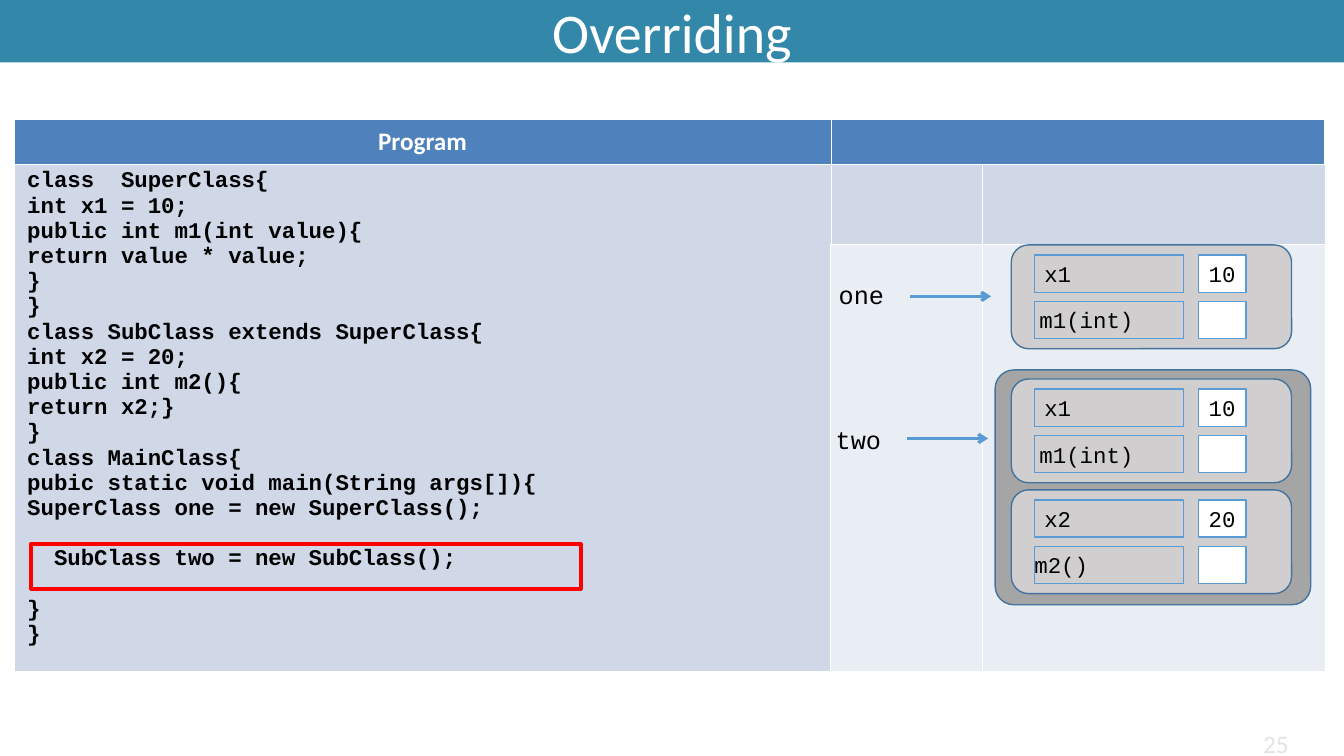
"""Build the slide that explains overriding with a program and its object diagram."""
from dataclasses import dataclass
from typing import Optional

from lxml.etree import SubElement
from pptx import Presentation
from pptx.dml.color import RGBColor
from pptx.enum.shapes import MSO_CONNECTOR, MSO_SHAPE
from pptx.enum.text import MSO_ANCHOR, PP_ALIGN
from pptx.oxml import parse_xml
from pptx.oxml.ns import nsdecls, qn
from pptx.shapes.autoshape import Shape
from pptx.slide import Slide
from pptx.table import _Cell
from pptx.text.text import TextFrame
from pptx.util import Inches, Pt

WHITE = RGBColor(0xFF, 0xFF, 0xFF)
BLACK = RGBColor(0x00, 0x00, 0x00)
RED = RGBColor(0xFF, 0x00, 0x00)
TEAL = RGBColor(0x33, 0x88, 0xA9)
HEADER_BLUE = RGBColor(0x4F, 0x81, 0xBD)
BAND_DARK = RGBColor(0xD0, 0xD8, 0xE8)
BAND_LIGHT = RGBColor(0xE9, 0xED, 0xF4)
OUTER_GRAY = RGBColor(0xA5, 0xA5, 0xA5)
OBJECT_GRAY = RGBColor(0xD0, 0xCE, 0xCE)
OBJECT_LINE = RGBColor(0x43, 0x73, 0x9E)
FIELD_LINE = RGBColor(0x5B, 0x9B, 0xD5)
NUMBER_GRAY = RGBColor(0xE3, 0xE3, 0xE3)
SANS = "Calibri"
MONO = "Courier New"

CODE = """class  SuperClass{
int x1 = 10;
public int m1(int value){
return value * value;
}
}
class SubClass extends SuperClass{
int x2 = 20;
public int m2(){
return x2;}
}
class MainClass{
pubic static void main(String args[]){
SuperClass one = new SuperClass();
  SubClass two = new SubClass();
}
}"""
SPACED_LINES = (14, 15)


@dataclass(frozen=True)
class CellStyle:
    row: int
    column: int
    fill: RGBColor
    borders: dict[str, float]


@dataclass(frozen=True)
class ObjectBox:
    top: float
    field: str
    value: str
    method: str
    method_inset: float


@dataclass(frozen=True)
class Reference:
    name: str
    left: float
    top: float
    arrow_left: float
    arrow_top: float


CELL_STYLES = (
    CellStyle(0, 0, HEADER_BLUE, {"L": 0.23, "R": 0.23, "T": 0.23, "B": 0.75}),
    CellStyle(0, 1, HEADER_BLUE, {"L": 0.23, "T": 0.23, "B": 0.75}),
    CellStyle(1, 0, BAND_DARK, {"L": 0.23, "R": 0.23, "T": 0.75}),
    CellStyle(1, 1, BAND_DARK, {"L": 0.23, "R": 0.23, "T": 0.75, "B": 0.23}),
    CellStyle(1, 2, BAND_DARK, {"L": 0.23, "R": 0.23, "B": 0.23}),
    CellStyle(2, 1, BAND_LIGHT, {"R": 0.23, "T": 0.23, "B": 0.23}),
    CellStyle(2, 2, BAND_LIGHT, {"L": 0.23, "R": 0.23, "T": 0.23, "B": 0.23}),
)
OBJECT_BOXES = (
    ObjectBox(2.43, "x1", "10", "m1(int)", 0.05),
    ObjectBox(3.76, "x1", "10", "m1(int)", 0.05),
    ObjectBox(4.86, "x2", "20", "m2()", 0),
)
REFERENCES = (
    Reference("one", 8.22, 2.72, 9.03, 2.94),
    Reference("two", 8.19, 4.16, 9, 4.35),
)


def write_text(frame: TextFrame, text: str, size: float, font: str, color: RGBColor, bold: bool = False) -> None:
    """Fill a text frame and format each of its runs."""
    frame.text = text
    for paragraph in frame.paragraphs:
        for run in paragraph.runs:
            run.font.size = Pt(size)
            run.font.name = font
            run.font.bold = bold
            run.font.color.rgb = color


def add_box(slide: Slide, kind: MSO_SHAPE, left: float, top: float, width: float, height: float,
            fill: Optional[RGBColor], line: Optional[RGBColor], line_width: float = 1) -> Shape:
    """Add a flat preset shape."""
    shape = slide.shapes.add_shape(kind, Inches(left), Inches(top), Inches(width), Inches(height))
    shape.shadow.inherit = False
    if fill is None:
        shape.fill.background()
    else:
        shape.fill.solid()
        shape.fill.fore_color.rgb = fill
    if line is None:
        shape.line.fill.background()
    else:
        shape.line.color.rgb = line
        shape.line.width = Pt(line_width)
    return shape


def add_field(slide: Slide, left: float, top: float, width: float, fill: Optional[RGBColor],
              text: str = "", inset: float = 0.1, anchor: MSO_ANCHOR = MSO_ANCHOR.TOP) -> None:
    """Add one small rectangle of an object, with its text."""
    shape = add_box(slide, MSO_SHAPE.RECTANGLE, left, top, width, 0.37, fill, FIELD_LINE)
    if text:
        frame = shape.text_frame
        frame.word_wrap = False
        frame.vertical_anchor = anchor
        frame.margin_left = Inches(inset)
        write_text(frame, text, 16, MONO, BLACK)
        frame.paragraphs[0].alignment = PP_ALIGN.LEFT


def add_object(slide: Slide, box: ObjectBox) -> None:
    """Add a rounded object with a field row and a method row."""
    add_box(slide, MSO_SHAPE.ROUNDED_RECTANGLE, 10.03, box.top, 2.78, 1.03, OBJECT_GRAY, OBJECT_LINE)
    field_top, method_top = box.top + 0.1, box.top + 0.56
    add_field(slide, 10.26, field_top, 1.48, None, box.field)
    add_field(slide, 11.89, field_top, 0.47, WHITE, box.value)
    add_field(slide, 10.26, method_top, 1.48, None, box.method, box.method_inset, MSO_ANCHOR.MIDDLE)
    add_field(slide, 11.89, method_top, 0.47, WHITE)


def add_label(slide: Slide, text: str, left: float, top: float, width: float, font: str, color: RGBColor) -> None:
    """Add a one-line text box."""
    label = slide.shapes.add_textbox(Inches(left), Inches(top), Inches(width), Inches(0.4))
    label.text_frame.word_wrap = False
    write_text(label.text_frame, text, 18, font, color)


def add_reference(slide: Slide, reference: Reference) -> None:
    """Add a variable name and the arrow to its object."""
    add_label(slide, reference.name, reference.left, reference.top, 0.65, MONO, BLACK)
    start, height = Inches(reference.arrow_left), Inches(reference.arrow_top)
    arrow = slide.shapes.add_connector(MSO_CONNECTOR.STRAIGHT, start, height, start + Inches(0.8), height)
    arrow.line.color.rgb = FIELD_LINE
    arrow.line.width = Pt(2.25)
    SubElement(arrow.line._get_or_add_ln(), qn("a:tailEnd"), type="arrow")
    SubElement(arrow._element.spPr, qn("a:effectLst"))


def style_cell(cell: _Cell, style: CellStyle) -> None:
    """Give a cell its margins, fill and white borders."""
    cell.margin_left = cell.margin_right = Inches(0.13)
    cell.fill.solid()
    cell.fill.fore_color.rgb = style.fill
    sides = [side for side in "LRTB" if side in style.borders]
    for position, side in enumerate(sides):
        border = parse_xml(
            f'<a:ln{side} {nsdecls("a")} w="{Pt(style.borders[side])}"><a:solidFill>'
            f'<a:srgbClr val="{WHITE}"/></a:solidFill></a:ln{side}>')
        cell._tc.get_or_add_tcPr().insert(position, border)


def add_program_table(slide: Slide) -> None:
    """Add the table with the program on the left and the diagram area on the right."""
    table = slide.shapes.add_table(3, 3, Inches(0.14), Inches(1.18), Inches(13), Inches(5.48)).table
    for column, width in zip(table.columns, (8.1, 1.5, 3.4)):
        column.width = Inches(width)
    for row, height in zip(table.rows, (0.45, 0.79, 4.24)):
        row.height = Inches(height)
    table.cell(0, 1).merge(table.cell(0, 2))
    table.cell(1, 0).merge(table.cell(2, 0))
    for style in CELL_STYLES:
        style_cell(table.cell(style.row, style.column), style)
    header, program = table.cell(0, 0), table.cell(1, 0)
    header.vertical_anchor = MSO_ANCHOR.MIDDLE
    write_text(header.text_frame, "Program", 18, SANS, WHITE, True)
    header.text_frame.paragraphs[0].alignment = PP_ALIGN.CENTER
    write_text(program.text_frame, CODE, 16, MONO, BLACK, True)
    for index, paragraph in enumerate(program.text_frame.paragraphs):
        paragraph.line_spacing = Pt(18)
        if index in SPACED_LINES:
            paragraph.space_before = Pt(18)


def main() -> None:
    """Create the presentation and save it."""
    presentation = Presentation()
    presentation.slide_width, presentation.slide_height = Inches(13.33), Inches(7.5)
    slide = presentation.slides.add_slide(presentation.slide_layouts[6])
    add_program_table(slide)
    outer = add_box(slide, MSO_SHAPE.ROUNDED_RECTANGLE, 9.87, 3.67, 3.13, 2.33, OUTER_GRAY, OBJECT_LINE)
    outer.adjustments[0] = 0.08
    for box in OBJECT_BOXES:
        add_object(slide, box)
    for reference in REFERENCES:
        add_reference(slide, reference)
    add_box(slide, MSO_SHAPE.RECTANGLE, 0.31, 5.4, 5.45, 0.44, None, RED, 3)
    title = add_box(slide, MSO_SHAPE.RECTANGLE, 0, 0, 13.33, 0.62, TEAL, None)
    title.text_frame.vertical_anchor = MSO_ANCHOR.MIDDLE
    write_text(title.text_frame, "Overriding", 40, SANS, WHITE)
    title.text_frame.paragraphs[0].alignment = PP_ALIGN.CENTER
    add_label(slide, "25", 12.43, 7.18, 0.45, SANS, NUMBER_GRAY)
    presentation.save("out.pptx")


if __name__ == "__main__":
    main()
